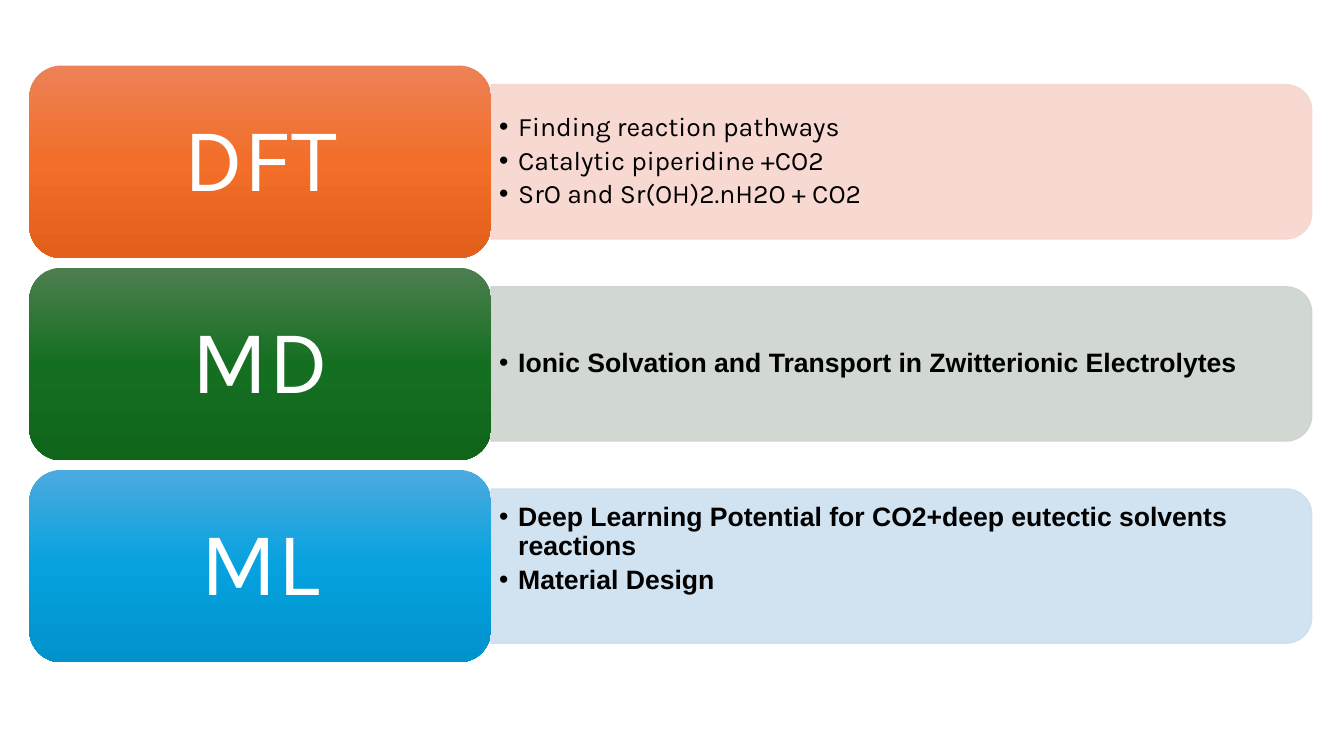
from dataclasses import dataclass

from lxml.etree import SubElement
from pptx import Presentation
from pptx.dml.color import RGBColor
from pptx.enum.shapes import MSO_SHAPE
from pptx.enum.text import MSO_ANCHOR, PP_ALIGN
from pptx.oxml.ns import qn
from pptx.shapes.autoshape import Shape
from pptx.slide import Slide
from pptx.text.text import TextFrame, _Paragraph
from pptx.util import Inches, Pt

COLORS = {
    "white": "FFFFFF",
    "black": "000000",
    "dft_panel": "F7D5CE", "dft_top": "ED8257", "dft_mid": "F26E29", "dft_end": "E25F1A",
    "md_panel": "CCD4CD", "md_top": "4D7E50", "md_mid": "156F21", "md_end": "0F661B",
    "ml_panel": "CCDFEF", "ml_top": "4CAADF", "ml_mid": "05A2DF", "ml_end": "0092CB",
}

# Layout in inches
CARD_LEFT, CARD_TOP, CARD_WIDTH, CARD_HEIGHT = 0.29, 0.65, 4.58, 1.91
ROW_PITCH = CARD_HEIGHT * 1.05
CARD_MARGIN = 0.09
PANEL_LEFT = CARD_LEFT + CARD_WIDTH
PANEL_WIDTH, PANEL_HEIGHT = 8.14, 1.53
POINTS_WIDTH, POINTS_HEIGHT = 8.07, 1.38
BULLET_INDENT = 0.19


@dataclass(frozen=True)
class Method:
    name: str
    palette: str
    points: tuple[str, ...]
    font: str = "Arial"
    bold: bool = True
    bottom_inset: float = 0.04


METHODS = (
    Method("DFT", "dft", ("Finding reaction pathways", "Catalytic piperidine +CO2",
                          "SrO and Sr(OH)2.nH2O + CO2"), "Karla", False),
    Method("MD", "md", ("Ionic Solvation and Transport in Zwitterionic Electrolytes",)),
    Method("ML", "ml", ("Deep Learning Potential for CO2+deep eutectic solvents reactions",
                        "Material Design"), bottom_inset=0.37),
)


def rgb(color: str) -> RGBColor:
    return RGBColor.from_string(COLORS[color])


def add_text_frame(slide: Slide, left: float, top: float, width: float, height: float,
                   side: float, upper: float, lower: float) -> TextFrame:
    box = slide.shapes.add_textbox(Inches(left), Inches(top), Inches(width), Inches(height))
    frame = box.text_frame
    frame.word_wrap = True
    frame.vertical_anchor = MSO_ANCHOR.MIDDLE
    frame.margin_left = frame.margin_right = Inches(side)
    frame.margin_top, frame.margin_bottom = Inches(upper), Inches(lower)
    return frame


def add_run(paragraph: _Paragraph, text: str, font: str, size: int, color: str,
            bold: bool = False) -> None:
    paragraph.line_spacing = 0.9
    run = paragraph.add_run()
    run.text = text
    run.font.name, run.font.size, run.font.bold = font, Pt(size), bold
    run.font.color.rgb = rgb(color)


def set_bullet(paragraph: _Paragraph) -> None:
    properties = paragraph._p.get_or_add_pPr()
    properties.set("marL", str(Inches(BULLET_INDENT)))
    properties.set("indent", str(-Inches(BULLET_INDENT)))
    SubElement(properties, qn("a:buFont")).set("typeface", "Arial")
    SubElement(properties, qn("a:buChar")).set("char", "•")


def set_gradient(card: Shape, palette: str) -> None:
    card.fill.gradient()
    card.fill.gradient_angle = 270
    stops = card._element.spPr.find(qn("a:gradFill")).find(qn("a:gsLst"))
    stops.clear()
    for position, part in ((0, "top"), (50, "mid"), (100, "end")):
        stop = SubElement(stops, qn("a:gs"))
        stop.set("pos", str(position * 1000))
        SubElement(stop, qn("a:srgbClr")).set("val", COLORS[f"{palette}_{part}"])


def add_panel(slide: Slide, method: Method, middle: float) -> None:
    # A quarter turn puts the rounded corners on the right
    center = PANEL_LEFT + PANEL_WIDTH / 2
    panel = slide.shapes.add_shape(
        MSO_SHAPE.ROUND_2_SAME_RECTANGLE,
        Inches(center - PANEL_HEIGHT / 2), Inches(middle - PANEL_WIDTH / 2),
        Inches(PANEL_HEIGHT), Inches(PANEL_WIDTH))
    panel.rotation = 90
    panel.shadow.inherit = False
    panel.line.width = Pt(1)
    for fill in (panel.fill, panel.line.fill):
        fill.solid()
        fill.fore_color.rgb = rgb(f"{method.palette}_panel")
    for panel_color in panel._element.spPr.iter(qn("a:srgbClr")):
        SubElement(panel_color, qn("a:alpha")).set("val", "90000")


def add_points(slide: Slide, method: Method, middle: float) -> None:
    frame = add_text_frame(slide, PANEL_LEFT, middle - POINTS_HEIGHT / 2,
                           POINTS_WIDTH, POINTS_HEIGHT, 0.08, 0.04, method.bottom_inset)
    for index, point in enumerate(method.points):
        paragraph = frame.add_paragraph() if index else frame.paragraphs[0]
        set_bullet(paragraph)
        paragraph.space_after = Pt(3.4)
        add_run(paragraph, point, method.font, 19, "black", method.bold)


def add_card(slide: Slide, method: Method, top: float) -> None:
    card = slide.shapes.add_shape(MSO_SHAPE.ROUNDED_RECTANGLE, Inches(CARD_LEFT), Inches(top),
                                  Inches(CARD_WIDTH), Inches(CARD_HEIGHT))
    card.shadow.inherit = False
    card.line.fill.background()
    set_gradient(card, method.palette)
    frame = add_text_frame(slide, CARD_LEFT + CARD_MARGIN, top + CARD_MARGIN,
                           CARD_WIDTH - 2 * CARD_MARGIN, CARD_HEIGHT - 2 * CARD_MARGIN,
                           0.27, 0.14, 0.14)
    title = frame.paragraphs[0]
    title.alignment = PP_ALIGN.CENTER
    add_run(title, method.name, "Karla", 65, "white")


def main() -> None:
    deck = Presentation()
    deck.slide_width, deck.slide_height = Inches(13.33), Inches(7.5)
    slide = deck.slides.add_slide(deck.slide_layouts[6])

    # One row per method: panel, bullet points, titled card
    for row, method in enumerate(METHODS):
        top = CARD_TOP + row * ROW_PITCH
        middle = top + CARD_HEIGHT / 2
        add_panel(slide, method, middle)
        add_points(slide, method, middle)
        add_card(slide, method, top)

    deck.save("out.pptx")


if __name__ == "__main__":
    main()
